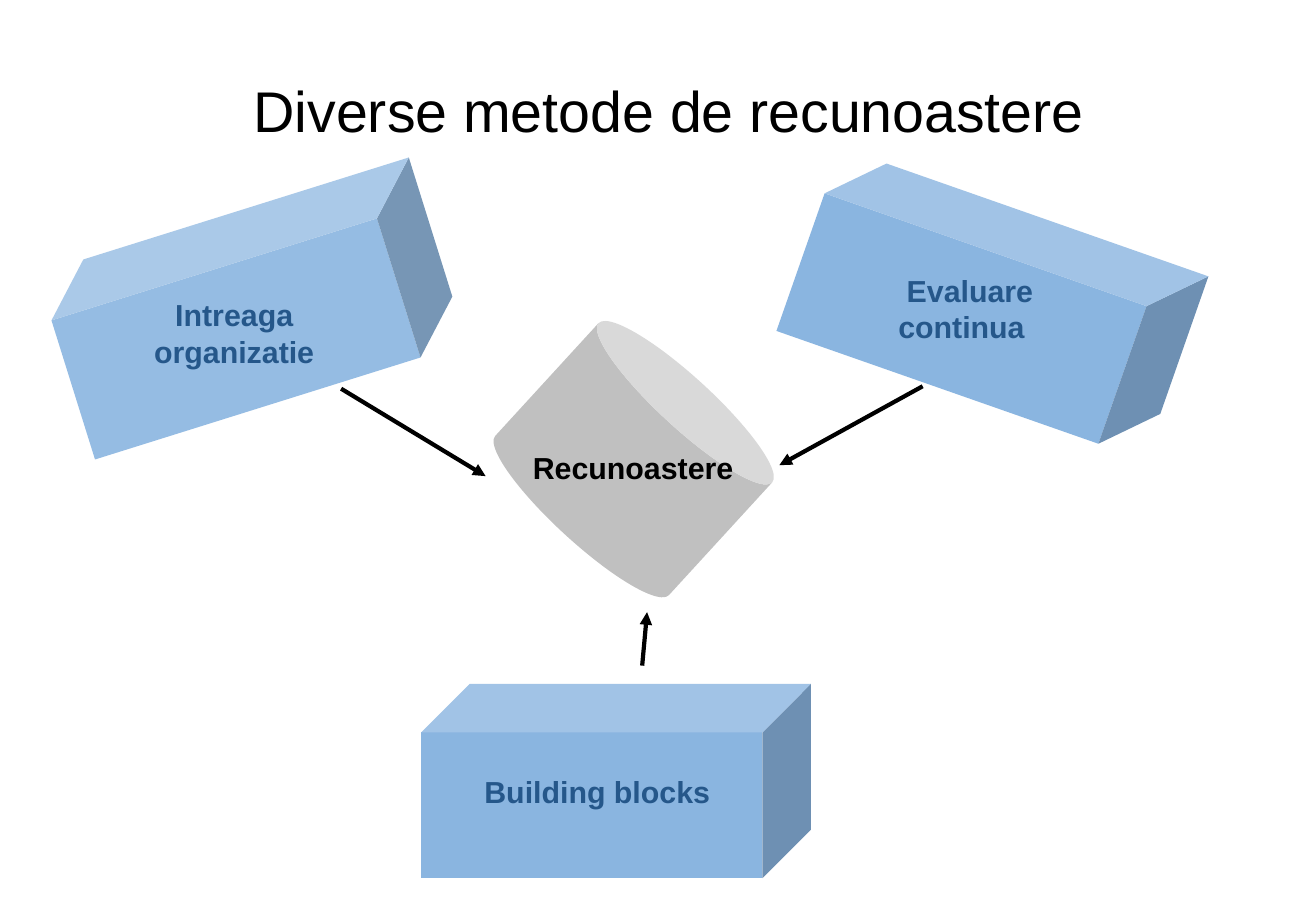
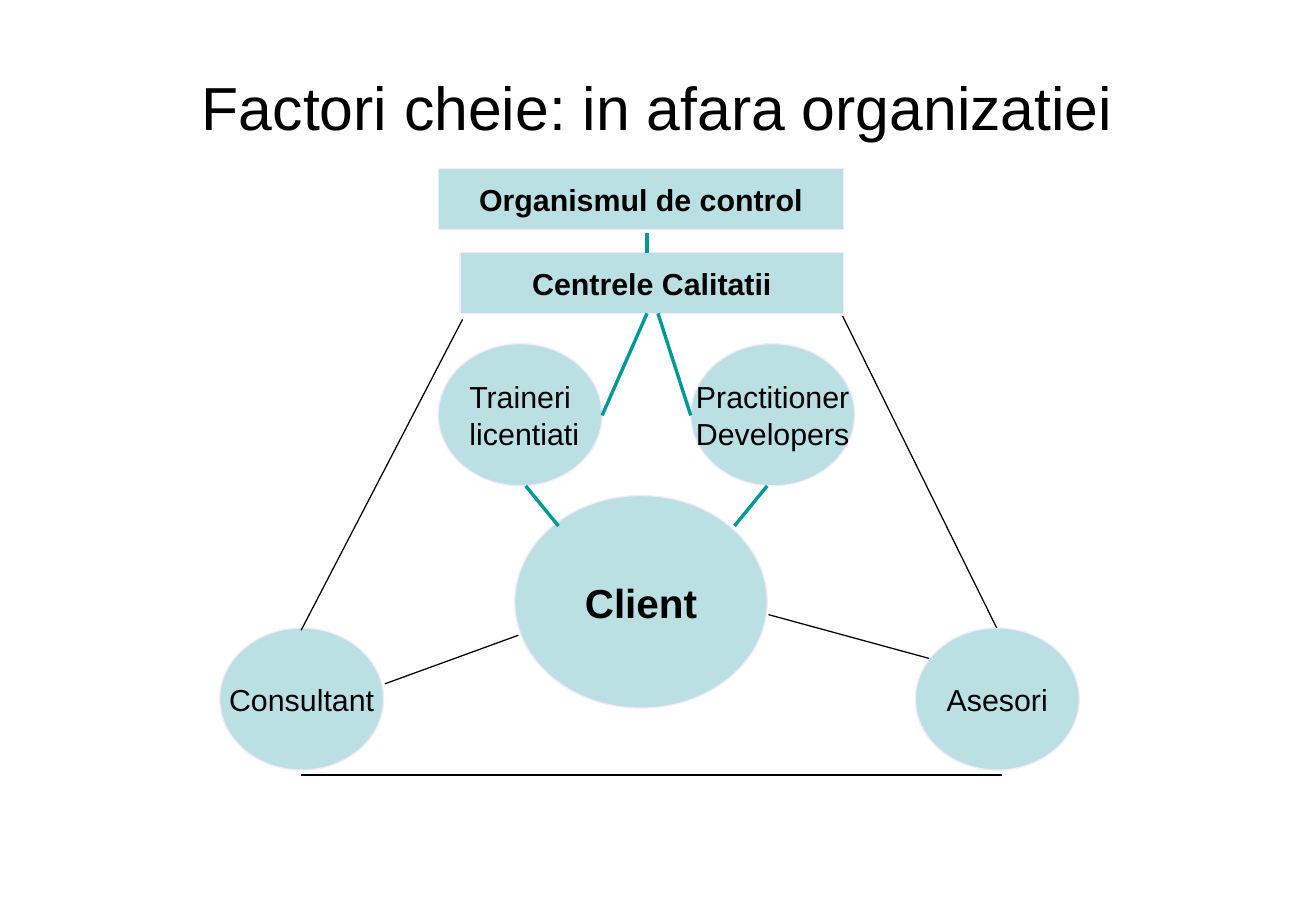
from lxml import etree
from pptx import Presentation
from pptx import util as u
from pptx.dml.color import RGBColor
from pptx.enum import shapes, text
from pptx.oxml.ns import qn

FONT = "Arial"
COLOURS = {
    "black": "000000",
    "grey": "C0C0C0",
    "blue": "8AB5E0",
    "light_blue": "95BCE3",
    "dark_blue": "25578A",
    "aqua": "BBE0E3",
    "lilac": "F4E9FF",
    "teal": "009999",
}
CIRCLE_SIZE = (1.35, 1.17)
CUBE_SIZE = (3.21, 1.6)


def colour(name):
    return RGBColor.from_string(COLOURS[name])


def inches(values):
    return [u.Inches(value) for value in values]


def write_text(frame, content, size=18, bold=False, ink="black", align="CENTER",
               anchor="MIDDLE", wrap=True, auto_size="NONE"):
    """Fill a text frame; each line of content becomes a paragraph."""
    frame.text = content
    frame.word_wrap = wrap
    frame.auto_size = text.MSO_AUTO_SIZE[auto_size]
    frame.vertical_anchor = text.MSO_ANCHOR[anchor]
    for paragraph in frame.paragraphs:
        paragraph.alignment = text.PP_ALIGN[align]
        font = paragraph.font
        font.name = FONT
        font.size = u.Pt(size)
        font.bold = bold
        font.color.rgb = colour(ink)


def add_titled_slide(presentation, title, box, size):
    slide = presentation.slides.add_slide(presentation.slide_layouts[5])
    shape = slide.shapes.title
    shape.left, shape.top, shape.width, shape.height = inches(box)
    write_text(shape.text_frame, title, size=size)
    return slide


def add_figure(slide, kind, box, fill, outline=None, rotation=0):
    shape = slide.shapes.add_shape(shapes.MSO_SHAPE[kind], *inches(box))
    shape.shadow.inherit = False
    shape.rotation = rotation
    shape.fill.solid()
    shape.fill.fore_color.rgb = colour(fill)
    if outline:
        shape.line.color.rgb = colour(outline)
        shape.line.width = u.Pt(0.75)
    else:
        shape.line.fill.background()
    return shape


def add_node(slide, kind, box, label, **text_format):
    shape = add_figure(slide, kind, box, "aqua", outline="lilac")
    write_text(shape.text_frame, label, wrap=False, **text_format)


def add_label(slide, box, label, **text_format):
    shape = slide.shapes.add_textbox(*inches(box))
    write_text(shape.text_frame, label, bold=True, anchor="TOP",
               auto_size="SHAPE_TO_FIT_TEXT", **text_format)


def add_line(slide, ends, ink="black", width=0.75, arrow=False):
    line = slide.shapes.add_connector(shapes.MSO_CONNECTOR.STRAIGHT, *inches(ends))
    line.line.color.rgb = colour(ink)
    line.line.width = u.Pt(width)
    if arrow:
        etree.SubElement(line.line._get_or_add_ln(), qn("a:tailEnd"), type="triangle")
    etree.SubElement(line._element.spPr, qn("a:effectLst"))


def build_methods(presentation):
    slide = add_titled_slide(presentation, "Diverse metode de recunoastere",
                             (0.73, 0.36, 9.56, 1.08), 34)
    add_figure(slide, "CAN", (4.25, 2.94, 1.94, 1.68), "grey", rotation=42.5)
    add_label(slide, (4.29, 3.65, 2.12, 0.4), "Recunoastere", align="LEFT")

    methods = [
        (" Evaluare continua ", (6.86, 2.19, 2.19, 0.7), (6.57, 1.7), "blue", 19.3,
         (7.6, 3.18, 6.42, 3.83)),
        ("Intreaga organizatie", (0.88, 2.39, 2.1, 0.7), (0.47, 1.74), "light_blue", 342.6,
         (2.81, 3.2, 4, 3.92)),
        ("Building blocks ", (3.88, 6.32, 2.15, 0.4), (3.47, 5.63), "blue", 0,
         (5.29, 5.48, 5.33, 5.04)),
    ]
    for label, label_box, corner, fill, rotation, arrow_ends in methods:
        add_figure(slide, "CUBE", corner + CUBE_SIZE, fill, rotation=rotation)
        add_label(slide, label_box, label, ink="dark_blue")
        add_line(slide, arrow_ends, width=2.5, arrow=True)


def build_factors(presentation):
    slide = add_titled_slide(presentation, "Factori cheie: in afara organizatiei",
                             (0.54, 0.25, 9.75, 1.25), 36)
    add_node(slide, "RECTANGLE", (3.61, 1.39, 3.34, 0.5), "Organismul de control", bold=True)
    add_node(slide, "RECTANGLE", (3.79, 2.08, 3.16, 0.5), "Centrele Calitatii", bold=True)
    add_node(slide, "OVAL", (4.24, 4.08, 2.08, 1.75), "Client", size=24, bold=True)

    circles = [
        ("Traineri\n licentiati", (3.61, 2.83)),
        ("Practitioner\nDevelopers", (5.69, 2.83)),
        ("Consultant", (1.81, 5.17)),
        ("Asesori", (7.54, 5.17)),
    ]
    for label, corner in circles:
        add_node(slide, "OVAL", corner + CIRCLE_SIZE, label)

    inner_links = [
        (5.33, 1.92, 5.33, 2.08),
        (5.33, 2.58, 4.96, 3.42),
        (5.42, 2.58, 5.69, 3.42),
        (4.33, 4, 4.6, 4.33),
        (6.32, 4, 6.05, 4.33),
    ]
    for ends in inner_links:
        add_line(slide, ends, ink="teal", width=2)

    outer_links = [
        (3.81, 2.63, 2.48, 5.19),
        (3.17, 5.63, 4.27, 5.23),
        (6.94, 2.6, 8.21, 5.17),
        (7.65, 5.42, 6.33, 5.06),
        (2.48, 6.38, 8.25, 6.38),
    ]
    for ends in outer_links:
        add_line(slide, ends)


def main():
    presentation = Presentation()
    presentation.slide_width = u.Inches(10.84)
    presentation.slide_height = u.Inches(7.5)
    build_methods(presentation)
    build_factors(presentation)
    presentation.save("out.pptx")


if __name__ == "__main__":
    main()
